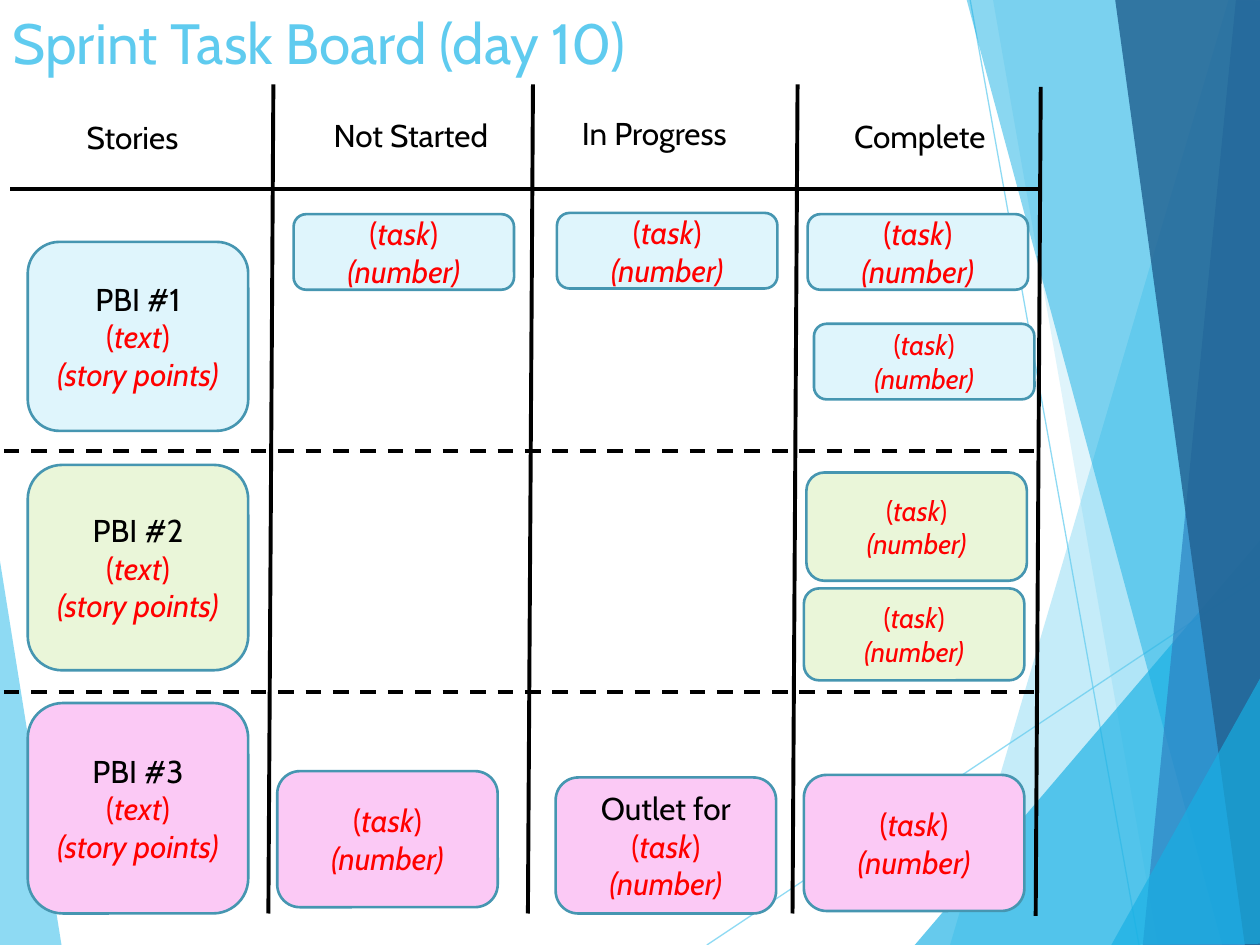
import pptx
import pptx.util
import pptx.dml.color
import pptx.enum.dml
import pptx.enum.shapes
import pptx.enum.text
import pptx.oxml.ns
from lxml import etree

PX = 9144


class Theme:
    font = "Cabin"
    head, body, small = 32.4, 18, 16
    sky, aqua, steel, navy = "5FCBEF", "17B0E4", "2E83C3", "226292"
    ink, red, edge = "000000", "FF0000", "4696B1"
    blue, green, pink = "DFF5FC", "EAF6D9", "FBC9F5"


rgb = pptx.dml.color.RGBColor.from_string
qn = pptx.oxml.ns.qn
kind = pptx.enum.shapes.MSO_SHAPE.ROUNDED_RECTANGLE
align = pptx.enum.text.PP_ALIGN
middle = pptx.enum.text.MSO_ANCHOR.MIDDLE


def put(para, text, size=Theme.body, color=Theme.ink, italic=False):
    run = para.add_run()
    run.text = text
    run.font.name = Theme.font
    run.font.size = pptx.util.Pt(size)
    run.font.italic = italic
    run.font.color.rgb = rgb(color)


def rule(ends, color=Theme.ink, width=2.25, dash=False, alpha=100):
    line = slide.shapes.add_connector(
        pptx.enum.shapes.MSO_CONNECTOR.STRAIGHT, *[v * PX for v in ends])
    line.line.color.rgb = rgb(color)
    line.line.width = pptx.util.Pt(width)
    if dash:
        line.line.dash_style = pptx.enum.dml.MSO_LINE.DASH
    props = line._element.spPr
    if alpha < 100:
        tint = props.find(".//" + qn("a:srgbClr"))
        etree.SubElement(tint, qn("a:alpha"), val=str(alpha * 1000))
    etree.SubElement(props, qn("a:effectLst"))


deck = pptx.Presentation()
deck.slide_width, deck.slide_height = 1000 * PX, 750 * PX
slide = deck.slides.add_slide(deck.slide_layouts[5])

for ends in [(561, 750, 1001, 457), (770, 0, 904, 750)]:
    rule(ends, color=Theme.sky, width=0.75, alpha=70)

wedges = [
    (Theme.sky, 70, [(-1, 439), (49, 751), (-1, 750)]),
    (Theme.sky, 36, [(975, 0), (754, 750), (1002, 751), (1001, 1)]),
    (Theme.sky, 20, [(788, -1), (919, 750), (1001, 750), (1001, -1)]),
    (Theme.aqua, 66, [(726, 750), (1000, 429), (1001, 750)]),
    (Theme.aqua, 50, [(767, -1), (970, 750), (1001, 749), (1001, -1)]),
    (Theme.steel, 70, [(981, -1), (907, 750), (1001, 750), (1000, -1)]),
    (Theme.navy, 82, [(885, -1), (988, 750), (1002, 750), (1000, -1)]),
    (Theme.aqua, 66, [(882, 750), (1002, 535), (1002, 749)]),
]
for color, alpha, dots in wedges:
    pen = slide.shapes.build_freeform(*dots[0], scale=PX)
    pen.add_line_segments(dots[1:], close=True)
    wedge = pen.convert_to_shape()
    wedge.shadow.inherit = False
    wedge.fill.solid()
    wedge.fill.fore_color.rgb = rgb(color)
    tint = wedge._element.spPr.find(".//" + qn("a:srgbClr"))
    etree.SubElement(tint, qn("a:alpha"), val=str(alpha * 1000))
    wedge.line.fill.background()

title = slide.shapes.title
title.left, title.top, title.width, title.height = 0, 0, 617 * PX, 67 * PX
title.text_frame.vertical_anchor = middle
para = title.text_frame.paragraphs[0]
para.alignment = align.LEFT
put(para, "Sprint Task Board (day 10)", size=Theme.head, color=Theme.sky)

rule((8, 150, 826, 150))
for x, y in [(217, 67), (423, 67), (633, 67), (826, 69)]:
    rule((x, y, x - 4, y + 658))

labels = [
    ("Stories", 59, 89, 97),
    ("Not Started", 255, 87, 150),
    ("In Progress", 452, 86, 141),
    ("Complete", 668, 88, 129),
]
for text, x, y, wide in labels:
    box = slide.shapes.add_textbox(x * PX, y * PX, wide * PX, 40 * PX)
    box.text_frame.word_wrap = False
    box.text_frame.auto_size = pptx.enum.text.MSO_AUTO_SIZE.SHAPE_TO_FIT_TEXT
    put(box.text_frame.paragraphs[0], text)

cards = [
    (22, 192, 150, Theme.blue, Theme.body, "PBI #1"),
    (22, 369, 163, Theme.green, Theme.body, "PBI #2"),
    (22, 558, 167, Theme.pink, Theme.body, "PBI #3"),
    (641, 170, 60, Theme.blue, Theme.body, ""),
    (442, 169, 60, Theme.blue, Theme.body, ""),
    (233, 170, 60, Theme.blue, Theme.body, ""),
    (646, 257, 60, Theme.blue, Theme.small, ""),
    (640, 375, 86, Theme.green, Theme.small, ""),
    (638, 467, 73, Theme.green, Theme.small, ""),
    (441, 617, 108, Theme.pink, Theme.body, "Outlet for "),
    (638, 615, 108, Theme.pink, Theme.body, ""),
    (220, 612, 108, Theme.pink, Theme.body, ""),
]
for x, y, tall, color, size, lead in cards:
    card = slide.shapes.add_shape(kind, x * PX, y * PX, 175 * PX, tall * PX)
    card.shadow.inherit = False
    card.fill.solid()
    card.fill.fore_color.rgb = rgb(color)
    card.line.color.rgb = rgb(Theme.edge)
    card.line.width = pptx.util.Pt(1.5)
    frame = card.text_frame
    frame.vertical_anchor = middle
    para = frame.paragraphs[0]
    if lead:
        put(para, lead, size=size)
    story = lead.startswith("PBI")
    if story:
        para = frame.add_paragraph()
    word, note = ("text", "(story points)") if story else ("task", "(number)")
    for text in ["(", word, ")"]:
        put(para, text, size=size, color=Theme.red, italic=text == word)
    put(frame.add_paragraph(), note, size=size, color=Theme.red, italic=True)
    for para in frame.paragraphs:
        para.alignment = align.CENTER

for y in [358, 549]:
    rule((3, y, 821, y), dash=True)

deck.save("out.pptx")
